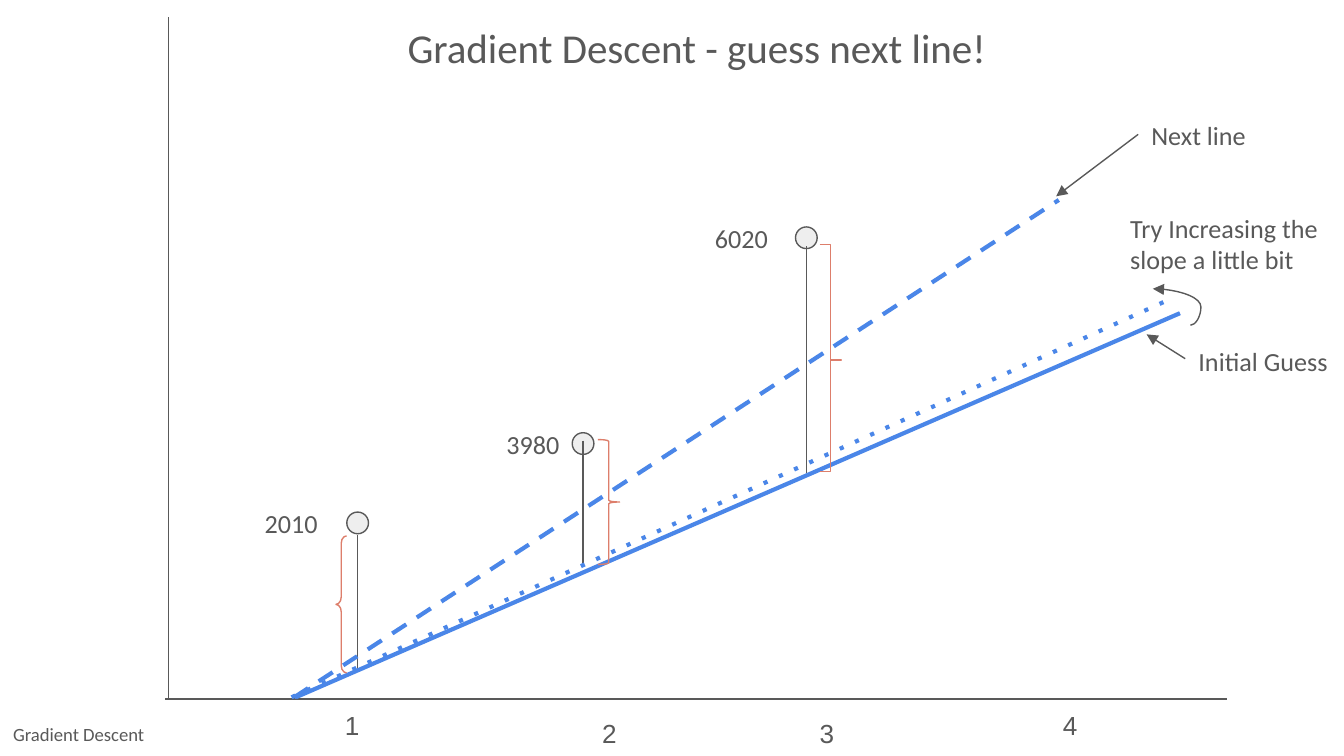
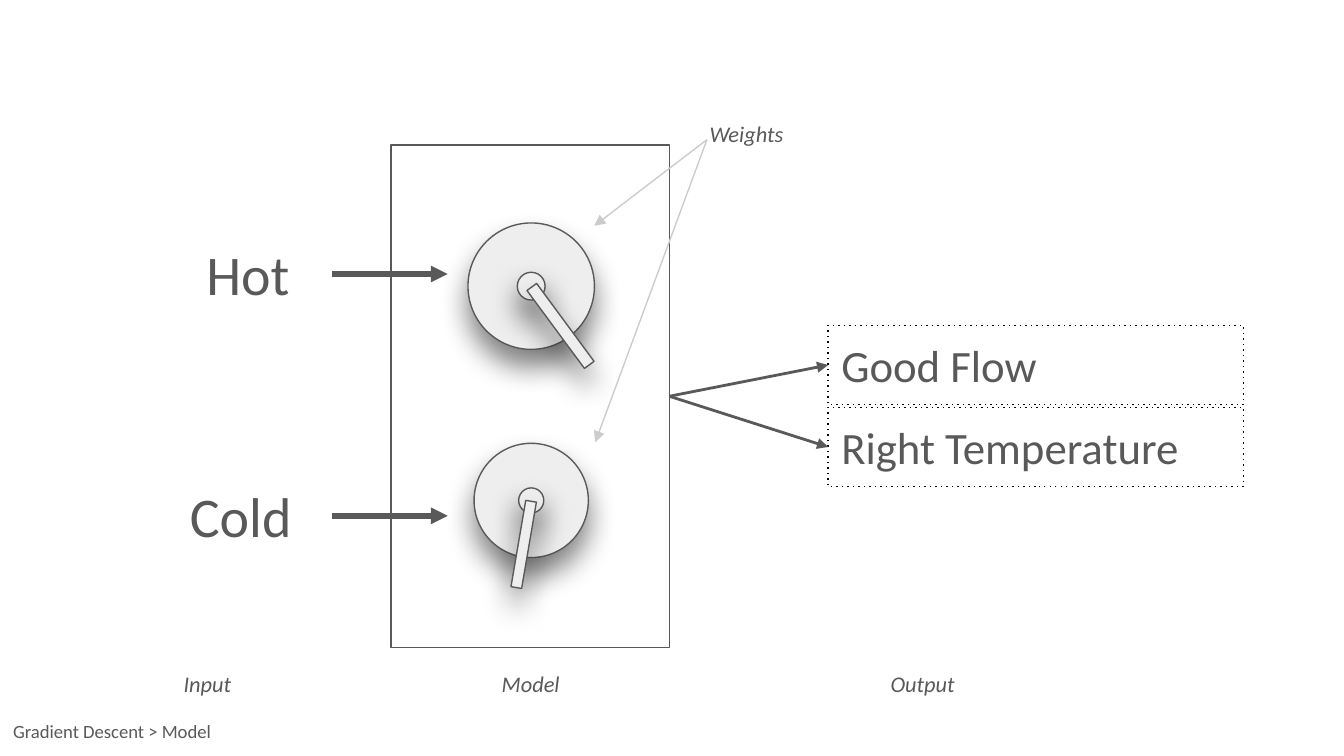
import math

import pptx
import pptx.dml.color
import pptx.enum.dml
import pptx.enum.shapes
import pptx.enum.text
import pptx.oxml
import pptx.oxml.ns
import pptx.util

# Shared look
GREY = pptx.dml.color.RGBColor(0x59, 0x59, 0x59)
PALE = pptx.dml.color.RGBColor(0xEE, 0xEE, 0xEE)
SILVER = pptx.dml.color.RGBColor(0xCC, 0xCC, 0xCC)
BLUE = pptx.dml.color.RGBColor(0x4A, 0x86, 0xE8)
CORAL = pptx.dml.color.RGBColor(0xDD, 0x7E, 0x6B)
BLACK = pptx.dml.color.RGBColor(0, 0, 0)
FONT = "Calibri"
INSET = 0.25
THIN = 0.75

KIND = pptx.enum.shapes.MSO_SHAPE
CONNECTOR = pptx.enum.shapes.MSO_CONNECTOR
ALIGN = pptx.enum.text.PP_ALIGN
ANCHOR = pptx.enum.text.MSO_ANCHOR


def lengths(values):
    return [pptx.util.Cm(value) for value in values]


def element(tag, **attributes):
    node = pptx.oxml.parse_xml(f"<a:{tag} {pptx.oxml.ns.nsdecls('a')}/>")
    for name, value in attributes.items():
        node.set(name, str(value))
    return node


def style_line(shape, color, width, dash=None):
    shape.line.color.rgb = color
    shape.line.width = pptx.util.Pt(width)
    if dash:
        shape.line.dash_style = pptx.enum.dml.MSO_LINE.DASH
        shape._element.spPr.find(".//" + pptx.oxml.ns.qn("a:prstDash")).set("val", dash)


def write(shape, text, size, font=FONT, align=ALIGN.LEFT, anchor=ANCHOR.TOP,
          italic=False, spacing=None):
    frame = shape.text_frame
    frame.word_wrap = True
    frame.vertical_anchor = anchor
    frame.margin_left = frame.margin_right = pptx.util.Cm(INSET)
    frame.margin_top = frame.margin_bottom = pptx.util.Cm(INSET)
    frame.text = text
    paragraph = frame.paragraphs[0]
    paragraph.alignment = align
    if spacing:
        paragraph.line_spacing = spacing
    run_font = paragraph.runs[0].font
    run_font.name = font
    run_font.size = pptx.util.Pt(size)
    run_font.color.rgb = GREY
    if italic:
        run_font.italic = True


def add_text(slide, box, text, size=14, **style):
    write(slide.shapes.add_textbox(*lengths(box)), text, size, **style)


def add_shape(shapes, kind, box, fill=None, line=GREY, dash=None):
    shape = shapes.add_shape(kind, *lengths(box))
    shape.shadow.inherit = False
    if fill is None:
        shape.fill.background()
    else:
        shape.fill.solid()
        shape.fill.fore_color.rgb = fill
    style_line(shape, line, THIN, dash)
    return shape


def add_line(slide, start, end, color=GREY, width=THIN, dash=None, arrow=False,
             kind=CONNECTOR.STRAIGHT):
    connector = slide.shapes.add_connector(kind, *lengths((*start, *end)))
    style_line(connector, color, width, dash)
    properties = connector._element.spPr
    if arrow:
        properties.find(pptx.oxml.ns.qn("a:ln")).append(element("tailEnd", type="triangle"))
    properties.append(element("effectLst"))
    return connector


def add_footer(slide, top, width, text, anchor):
    add_text(slide, (0, top, width, 0.76), text, 10, anchor=anchor)


# Parts of the chart slide
def add_data_point(slide, x, marker_top, label_left, value, stem):
    diameter = 0.41
    add_shape(slide.shapes, KIND.OVAL,
              (x - diameter / 2, marker_top, diameter, diameter), PALE)
    add_text(slide, (label_left, marker_top - 0.33, 1.7, 1.07), value)
    add_line(slide, (x, stem[0]), (x, stem[1]))


def add_error_brace(slide, kind, box, curl, tip):
    brace = add_shape(slide.shapes, kind, box, line=CORAL)
    brace.adjustments[0] = curl
    brace.adjustments[1] = tip


def add_curved_arrow(slide, start, end, bend):
    arrow = add_line(slide, start, end, arrow=True, kind=CONNECTOR.CURVE)
    guides = arrow._element.spPr.find(".//" + pptx.oxml.ns.qn("a:avLst"))
    if guides is None:
        guides = element("avLst")
        arrow._element.spPr.find(pptx.oxml.ns.qn("a:prstGeom")).append(guides)
    guides.append(element("gd", name="adj1", fmla=f"val {round(bend * 100000)}"))


# Parts of the model slide
def add_drop_shadow(shape):
    shadow = element("outerShdw", blurRad=pptx.util.Pt(15.75), dist=pptx.util.Pt(9),
                     dir=90 * 60000, algn="bl", rotWithShape=0)
    color = element("srgbClr", val=str(BLACK))
    color.append(element("alpha", val=50000))
    shadow.append(color)
    shape._element.spPr.find(pptx.oxml.ns.qn("a:effectLst")).append(shadow)


def add_tap(slide, center_x, center_y, diameter, angle):
    """Draw a plate, its hub and a handle turned clockwise from pointing down."""
    shapes = slide.shapes.add_group_shape().shapes
    hub = diameter * 0.22
    width, length, reach = diameter * 0.095, diameter * 0.766, diameter * 0.39
    handle_x = center_x - reach * math.sin(math.radians(angle))
    handle_y = center_y + reach * math.cos(math.radians(angle))
    parts = [
        (KIND.OVAL, center_x, center_y, diameter, diameter, 0),
        (KIND.FLOWCHART_CONNECTOR, center_x, center_y, hub, hub, 0),
        (KIND.RECTANGLE, handle_x, handle_y, width, length, angle),
    ]
    for kind, x, y, part_width, part_height, rotation in parts:
        box = (x - part_width / 2, y - part_height / 2, part_width, part_height)
        part = add_shape(shapes, kind, box, PALE)
        part.rotation = rotation
        add_drop_shadow(part)


def build_guess_slide(slide):
    # Axes and tick labels
    add_line(slide, (3.18, 13.23), (3.18, 0.33))
    add_line(slide, (3.12, 13.21), (23.19, 13.21))
    ticks = [(6.27, 13.16), (11.13, 13.31), (15.24, 13.31), (19.84, 13.16)]
    for number, (left, top) in enumerate(ticks, start=1):
        add_text(slide, (left, top, 0.94, 1.07), str(number), font="Arial")

    # Data points
    for point in [
        (6.76, 9.68, 4.75, "2010", (10.11, 12.67)),
        (11.02, 8.18, 9.32, "3980", (8.33, 10.69)),
        (15.24, 4.29, 13.26, "6020", (4.65, 8.94)),
    ]:
        add_data_point(slide, *point)

    # Guessed lines and their errors
    add_line(slide, (5.59, 13.18), (22.3, 5.92), BLUE, 2.25)
    add_error_brace(slide, KIND.LEFT_BRACE, (6.35, 10.13, 0.2, 2.59), 0.7, 0.5)
    add_error_brace(slide, KIND.RIGHT_BRACE, (15.49, 4.62, 0.41, 4.29), 0, 0.51)
    add_error_brace(slide, KIND.RIGHT_BRACE, (11.3, 8.31, 0.41, 2.36), 0.08, 0.5)
    add_line(slide, (5.51, 13.18), (22.1, 5.66), BLUE, 2.25, "dot")
    add_line(slide, (5.56, 13.18), (20.01, 3.78), BLUE, 2.25, "dash")

    # Annotations
    add_text(slide, (22.4, 6.27, 3.73, 1.07), "Initial Guess")
    add_line(slide, (22.4, 6.78), (21.67, 6.32), arrow=True)
    add_text(slide, (21.11, 3.76, 5.13, 1.6), "Try Increasing the slope a little bit")
    add_curved_arrow(slide, (22.5, 6.15), (21.79, 5.46), -0.28)
    add_text(slide, (21.51, 2.01, 3.73, 1.07), "Next line")
    add_line(slide, (21.51, 2.54), (19.96, 3.71), arrow=True)

    add_text(slide, (2.49, 0, 21.36, 1.47), "Gradient Descent - guess next line!", 22,
             align=ALIGN.CENTER, spacing=1.18)
    add_footer(slide, 13.49, 3.12, "Gradient Descent", ANCHOR.MIDDLE)


def build_model_slide(slide):
    # Taps inside the model frame
    add_tap(slide, 10.04, 9.46, 2.16, 9.7)
    add_tap(slide, 10.04, 5.41, 2.39, 323.6)
    add_shape(slide.shapes, KIND.RECTANGLE, (7.39, 2.74, 5.26, 9.5))

    # Inputs
    for text, left, top, width, arrow_y in [
        ("Hot", 2.57, 4.62, 3.15, 5.18),
        ("Cold", 2.08, 9.19, 3.68, 9.75),
    ]:
        add_line(slide, (6.27, arrow_y), (8.46, arrow_y), width=3, arrow=True)
        add_text(slide, (left, top, width, 1.09), text, 30,
                 align=ALIGN.RIGHT, anchor=ANCHOR.MIDDLE)

    # Outputs
    output_left, output_height = 15.65, 1.5
    for text, top in [("Good Flow", 6.15), ("Right Temperature", 7.7)]:
        box = add_shape(slide.shapes, KIND.RECTANGLE,
                        (output_left, top, 7.85, output_height), line=BLACK, dash="dot")
        write(box, text, 24, anchor=ANCHOR.MIDDLE)
        add_line(slide, (12.65, 7.49), (output_left, top + output_height / 2),
                 width=1.5, arrow=True)

    # Captions and weight pointers
    for target in [(11.23, 4.27), (11.25, 8.36)]:
        add_line(slide, (13.36, 2.64), target, SILVER, arrow=True)
    for text, box, align in [
        ("Input", (2.08, 12.27, 3.68, 1.3), ALIGN.CENTER),
        ("Model", (7.72, 12.37, 4.62, 1.09), ALIGN.CENTER),
        ("Output", (15.6, 12.27, 3.68, 1.3), ALIGN.CENTER),
        ("Weights", (13.16, 1.88, 3.68, 1.3), ALIGN.LEFT),
    ]:
        add_text(slide, box, text, 12, align=align, anchor=ANCHOR.MIDDLE, italic=True)

    add_footer(slide, 13.39, 5.97, "Gradient Descent > Model", ANCHOR.TOP)


def main():
    presentation = pptx.Presentation()
    presentation.slide_width = pptx.util.Cm(25.4)
    presentation.slide_height = pptx.util.Cm(14.29)
    blank = presentation.slide_layouts[6]
    for build in (build_guess_slide, build_model_slide):
        build(presentation.slides.add_slide(blank))
    presentation.save("out.pptx")


if __name__ == "__main__":
    main()
